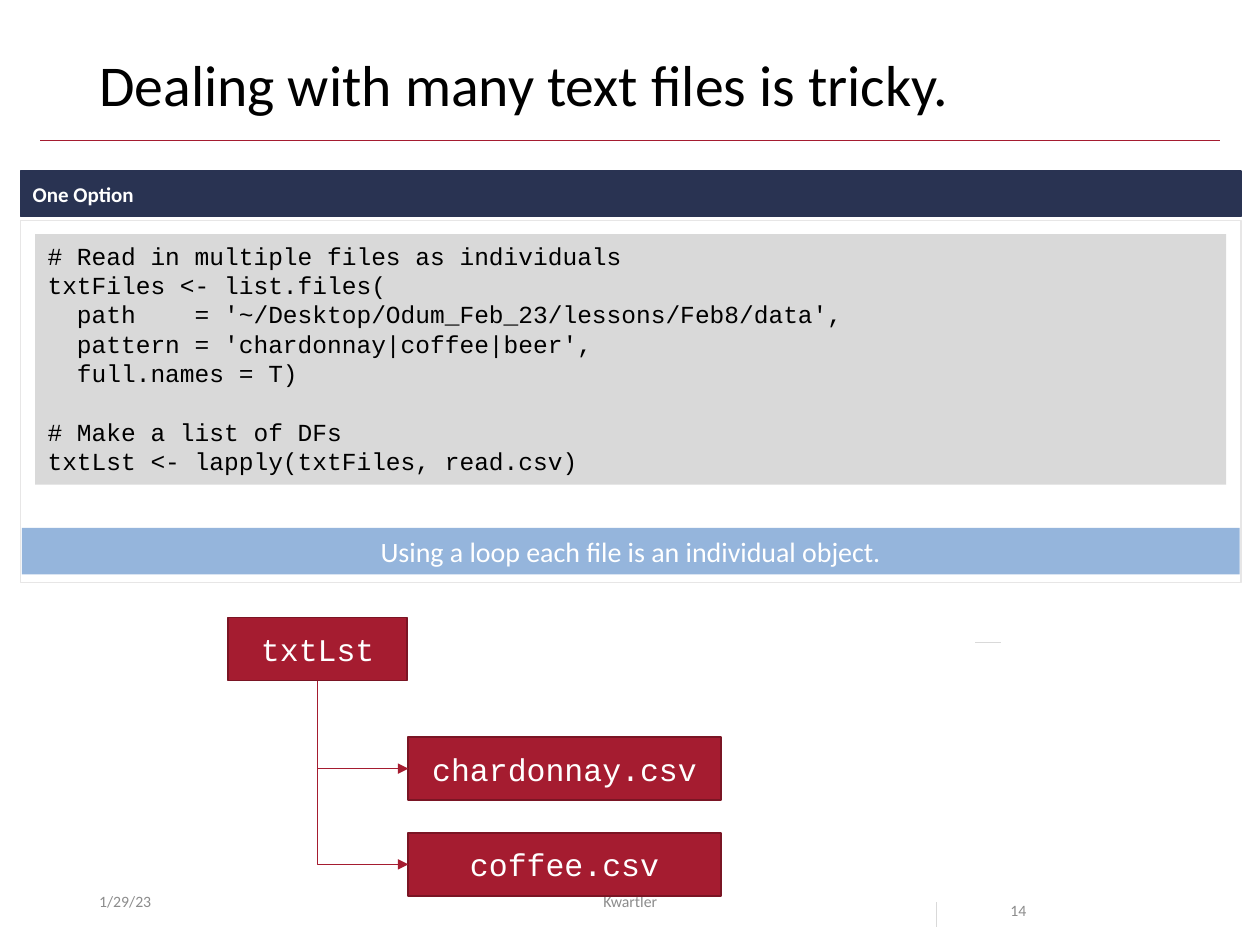
from lxml import etree
from pptx import Presentation
from pptx.dml.color import RGBColor
from pptx.enum.shapes import MSO_CONNECTOR as Connector, MSO_SHAPE as Preset
from pptx.enum.text import MSO_ANCHOR as Anchor, PP_ALIGN as Align
from pptx.oxml.ns import qn
from pptx.util import Cm, Pt

COLORS = {
    "black": "000000", "white": "FFFFFF", "muted": "8C8C8C", "border": "E7E6E6",
    "navy": "293352", "code": "D9D9D9", "note": "95B5DC", "tick": "D9D9D9",
    "crimson": "A51C30", "crimson_dark": "7A1524",
}
CODE = """# Read in multiple files as individuals
txtFiles <- list.files(
  path    = '~/Desktop/Odum_Feb_23/lessons/Feb8/data',
  pattern = 'chardonnay|coffee|beer',
  full.names = T)

# Make a list of DFs
txtLst <- lapply(txtFiles, read.csv)"""


def color(name):
    """Return the named colour."""
    return RGBColor.from_string(COLORS[name])


def write(shape, text, size, ink, font="Calibri", bold=False, align=Align.LEFT,
          anchor=Anchor.TOP, spacing=None, inset=0.13):
    """Fill a shape with one formatted paragraph per line of text."""
    frame = shape.text_frame
    frame_format = {"word_wrap": True, "vertical_anchor": anchor,
                    "margin_top": Cm(inset), "margin_bottom": Cm(inset)}
    for name, value in frame_format.items():
        setattr(frame, name, value)
    for index, line in enumerate(text.split("\n")):
        paragraph = frame.add_paragraph() if index else frame.paragraphs[0]
        for name, value in {"alignment": align, "line_spacing": spacing}.items():
            setattr(paragraph, name, value)
        if not line:
            etree.SubElement(paragraph._p, qn("a:endParaRPr"), sz=str(size * 100))
            continue
        run = paragraph.add_run()
        run.text = line
        for name, value in {"name": font, "size": Pt(size), "bold": bold}.items():
            setattr(run.font, name, value)
        run.font.color.rgb = color(ink)


def add_text(slide, box, text, **text_format):
    """Add a text box."""
    write(slide.shapes.add_textbox(*map(Cm, box)), text, **text_format)


def add_box(slide, box, fill, border=None, width=0.75):
    """Add a flat rectangle and return it."""
    shape = slide.shapes.add_shape(Preset.RECTANGLE, *map(Cm, box))
    shape.shadow.inherit = False
    shape.fill.solid()
    shape.fill.fore_color.rgb = color(fill)
    if border:
        shape.line.color.rgb = color(border)
        shape.line.width = Pt(width)
    else:
        shape.line.fill.background()
    return shape


def add_line(slide, ends, ink, kind=Connector.STRAIGHT):
    """Add a thin connector without shadow and return it."""
    line = slide.shapes.add_connector(kind, *map(Cm, ends))
    line.line.color.rgb = color(ink)
    line.line.width = Pt(0.5)
    etree.SubElement(line._element.spPr, qn("a:effectLst"))
    return line


def add_branch(slide, start_x, start_y, end_x, end_y):
    """Add an arrow that runs down and then right."""
    middle_x, middle_y = (start_x + end_x) / 2, (start_y + end_y) / 2
    half_run, half_drop = (end_x - start_x) / 2, (end_y - start_y) / 2
    ends = (middle_x + half_drop, middle_y - half_run,
            middle_x - half_drop, middle_y + half_run)
    properties = add_line(slide, ends, "crimson", Connector.ELBOW)._element.spPr
    properties.find(qn("a:xfrm")).set("rot", "16200000")
    properties.find(qn("a:prstGeom")).set("prst", "bentConnector2")
    etree.SubElement(properties.find(qn("a:ln")), qn("a:tailEnd"), type="triangle")


def add_heading(slide, left, top, width):
    """Place the title above its rule."""
    add_line(slide, (left, top + 1.82, left + width, top + 1.82), "crimson")
    add_text(slide, (left + 0.94, top, width - 1.88, 1.65),
             "Dealing with many text files is tricky.",
             size=33, ink="black", spacing=0.9)


def add_footer(slide, left, top, height):
    """Place the date, the author, the page number and its divider."""
    small = {"size": 9, "ink": "muted"}
    add_text(slide, (left, top, 5.72, height), "1/29/23", anchor=Anchor.MIDDLE, **small)
    add_text(slide, (left + 6.66, top, 8.59, height), "Kwartler",
             align=Align.CENTER, anchor=Anchor.MIDDLE, **small)
    add_text(slide, (left + 18.37, top, 2.39, height), "14", spacing=2.0, **small)
    divider = left + 17.12
    add_line(slide, (divider, top + 0.54, divider, top + 1.04), "tick")


def add_code_panel(slide, left, top, width):
    """Place the framed code with its header and its note."""
    add_box(slide, (left, top + 1, width, 7.29), "white", "border")
    header = add_box(slide, (left, top, width, 0.91), "navy", "navy")
    write(header, "One Option", 12, "white", bold=True, anchor=Anchor.MIDDLE, inset=0.25)
    code = add_box(slide, (left + 0.3, top + 1.27, width - 0.6, 5.05), "code")
    write(code, CODE, 14, "black", "Courier New")
    note = add_box(slide, (left + 0.03, top + 7.19, width - 0.06, 0.94), "note")
    write(note, "Using a loop each file is an individual object.", 16, "white",
          align=Align.CENTER)


def add_file_tree(slide, left, top, height):
    """Place the list object and the files that branch off it."""
    root_width, child_left = 3.61, left + 3.63
    nodes = [("txtLst", left, top, root_width),
             ("chardonnay.csv", child_left, top + 2.41, 6.3),
             ("coffee.csv", child_left, top + 4.34, 6.3)]
    for label, node_left, node_top, width in nodes:
        node = add_box(slide, (node_left, node_top, width, height),
                       "crimson", "crimson_dark", 1)
        write(node, label, 18, "white", "Courier New",
              align=Align.CENTER, anchor=Anchor.MIDDLE)
    for _, node_left, node_top, _ in nodes[1:]:
        add_branch(slide, left + root_width / 2, top + height,
                   node_left, node_top + height / 2)
    add_line(slide, (left + 15.06, top + 0.5, left + 15.57, top + 0.5), "tick")


def main():
    """Build and save the slide."""
    presentation = Presentation()
    presentation.slide_width, presentation.slide_height = Cm(25.4), Cm(19.05)
    slide = presentation.slides.add_slide(presentation.slide_layouts[6])
    add_heading(slide, 0.81, 1.02, 23.78)
    add_footer(slide, 1.75, 17.65, 1.02)
    add_code_panel(slide, 0.41, 3.45, 24.61)
    add_file_tree(slide, 4.6, 12.45, 1.27)
    presentation.save("out.pptx")


if __name__ == "__main__":
    main()
